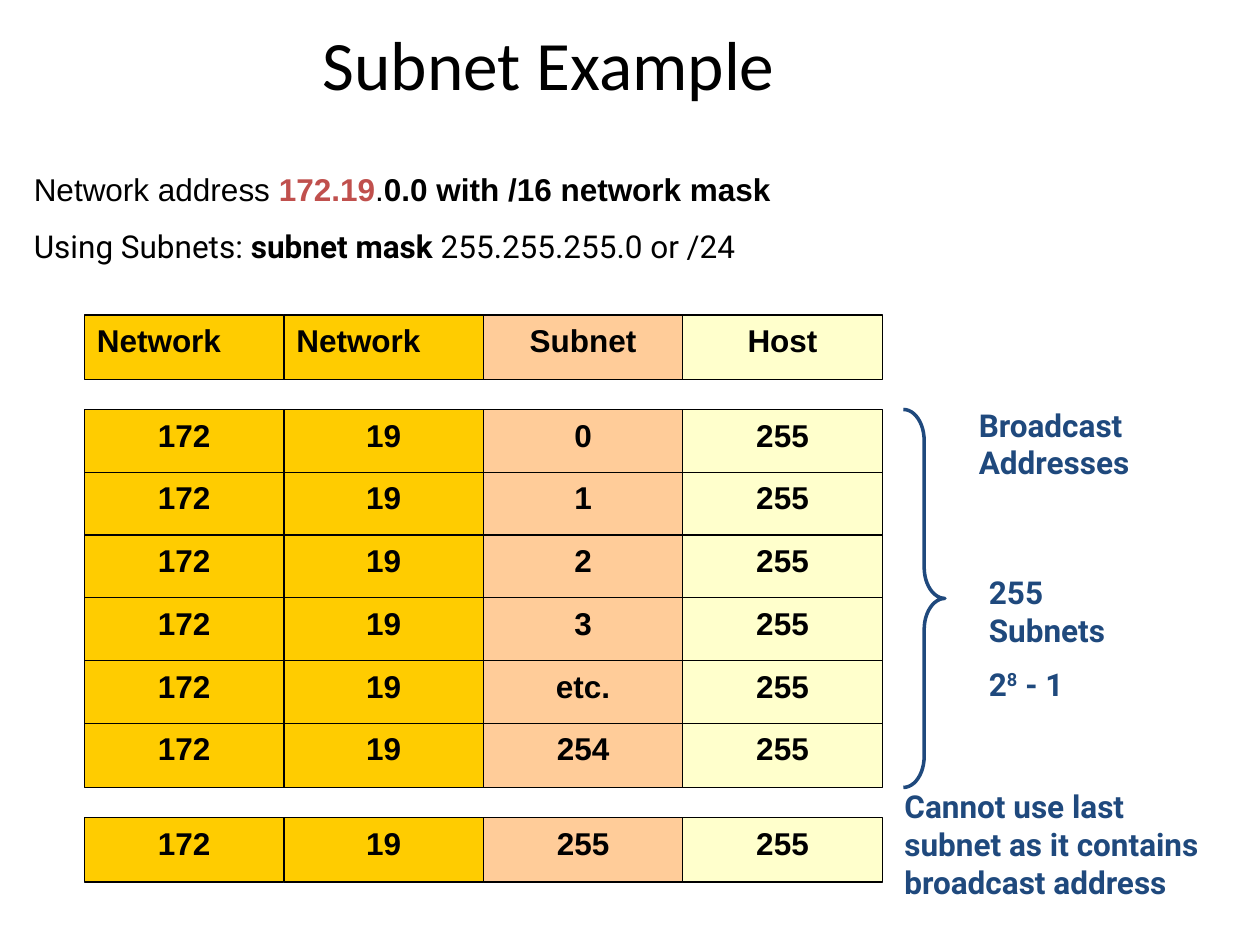
from pptx import Presentation
from pptx.dml.color import RGBColor
from pptx.enum import shapes, text
from pptx.util import Inches, Pt

BLACK = RGBColor(0x00, 0x00, 0x00)
RED = RGBColor(0xC0, 0x50, 0x4D)
NAVY = RGBColor(0x1F, 0x49, 0x7D)
GOLD = RGBColor(0xFF, 0xCC, 0x00)
PEACH = RGBColor(0xFF, 0xCC, 0x99)
CREAM = RGBColor(0xFF, 0xFF, 0xCC)

LEFT, CENTER = text.PP_ALIGN.LEFT, text.PP_ALIGN.CENTER

# A run is (words, changes to the base style)
TITLE = [[("Subnet Example", {})]]
ADDRESS = [[("Network address ", {}),
            ("172.19", {"bold": True, "color": RED}),
            (".", {}),
            ("0.0 with /16 network mask", {"bold": True})]]
MASK = [[("Using Subnets: ", {}),
         ("subnet mask", {"bold": True}),
         (" 255.255.255.0 or /24", {})]]

# Notes beside the rows: left, top, width, height, paragraphs
NOTES = [
    (7.75, 4.5, 1.58, 1.15, [[("255 Subnets", {})],
                             [("2", {}), ("8", {"raised": True}), (" - 1", {})]]),
    (7.08, 6.2, 2.67, 1.3,
     [[("Cannot use last subnet as it contains broadcast address", {})]]),
    (7.67, 3.17, 2.17, 0.9, [[("Broadcast Addresses", {})]]),
]

HEADS = ["Network", "Network", "Subnet", "Host"]
HEAD_ALIGN = [LEFT, LEFT, CENTER, CENTER]
FILLS = [GOLD, GOLD, PEACH, CREAM]
USABLE = ["0", "1", "2", "3", "etc.", "254"]
LAST = "255"

GRID_X, CELL_W, CELL_H = 0.67, 1.583, 0.51
HEAD_Y, BODY_Y, LAST_Y, STEP = 2.5, 3.25, 6.49, 0.498


def write(frame, paras, size=18, font="Arial", color=BLACK, bold=False,
          align=LEFT):
    """Fill a text frame from lists of runs."""
    frame.word_wrap = True
    for i, runs in enumerate(paras):
        para = frame.add_paragraph() if i else frame.paragraphs[0]
        para.alignment = align
        if i:
            para.space_before = Pt(size / 2)
        for words, look in runs:
            run = para.add_run()
            run.text = words
            run.font.size = Pt(size)
            run.font.name = font
            run.font.bold = look.get("bold", bold)
            run.font.color.rgb = look.get("color", color)
            if look.get("raised"):
                run.font._element.set("baseline", "30000")


def add_text(slide, x, y, w, h, paras, **style):
    box = slide.shapes.add_textbox(Inches(x), Inches(y), Inches(w), Inches(h))
    write(box.text_frame, paras, **style)
    return box.text_frame


def add_row(slide, y, words, aligns):
    """Draw one address as a group of four cells."""
    group = slide.shapes.add_group_shape()
    for col, (word, fill, align) in enumerate(zip(words, FILLS, aligns)):
        cell = group.shapes.add_shape(
            shapes.MSO_SHAPE.RECTANGLE, Inches(GRID_X + col * CELL_W),
            Inches(y), Inches(CELL_W), Inches(CELL_H))
        cell.shadow.inherit = False
        cell.fill.solid()
        cell.fill.fore_color.rgb = fill
        cell.line.color.rgb = BLACK
        cell.line.width = Pt(0.75)
        cell.text_frame.vertical_anchor = text.MSO_ANCHOR.TOP
        write(cell.text_frame, [[(word, {})]], bold=True, align=align)


def add_brace(slide):
    brace = slide.shapes.add_shape(
        shapes.MSO_SHAPE.RIGHT_BRACE, Inches(7.17), Inches(BODY_Y),
        Inches(0.33), Inches(3))
    brace.adjustments[0] = 0.75
    brace.adjustments[1] = 0.5
    brace.shadow.inherit = False
    brace.fill.background()
    brace.line.color.rgb = NAVY
    brace.line.width = Pt(2)


def main():
    deck = Presentation()
    deck.slide_width, deck.slide_height = Inches(10), Inches(7.5)
    slide = deck.slides.add_slide(deck.slide_layouts[6])

    title = add_text(slide, 0.51, 0.24, 7.69, 0.52, TITLE, size=39.6,
                     font="Calibri", align=CENTER)
    title.vertical_anchor = text.MSO_ANCHOR.MIDDLE
    address = add_text(slide, 0.17, 1.33, 9.33, 0.42, ADDRESS)
    address.paragraphs[0].line_spacing = 0.9
    add_text(slide, 0.17, 1.75, 7.92, 0.5, MASK, font="Roboto")

    add_row(slide, HEAD_Y, HEADS, HEAD_ALIGN)
    rows = [(BODY_Y + i * STEP, net) for i, net in enumerate(USABLE)]
    for y, net in rows + [(LAST_Y, LAST)]:
        add_row(slide, y, ["172", "19", net, "255"], [CENTER] * 4)

    add_brace(slide)
    for x, y, w, h, paras in NOTES:
        add_text(slide, x, y, w, h, paras, font="Roboto", color=NAVY, bold=True)
    deck.save("out.pptx")


if __name__ == "__main__":
    main()
